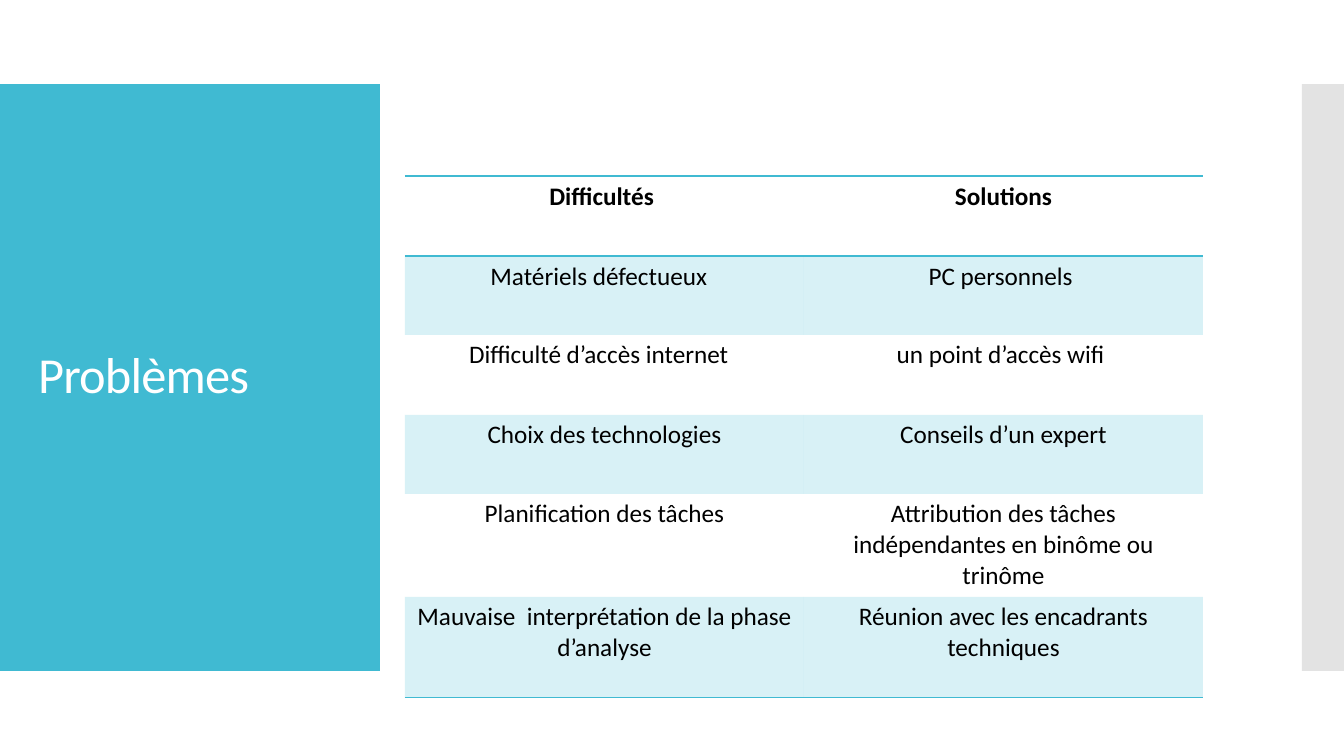
import lxml.etree
import pptx
import pptx.dml.color
import pptx.enum.shapes
import pptx.enum.text
import pptx.oxml.ns
import pptx.util

PX = 914400 / 100.8
COLORS = {"accent": "40BAD2", "grey": "C8C8C8", "white": "FFFFFF", "black": "000000"}
FONT = "Calibri"
ROWS = [
    ("Difficultés ", "Solutions"),
    ("Matériels défectueux  ", "PC personnels "),
    ("Difficulté d’accès internet  ", "un point d’accès wifi "),
    ("Choix des technologies", "Conseils d’un expert"),
    ("Planification des tâches", "Attribution des tâches indépendantes en binôme ou trinôme"),
    ("Mauvaise  interprétation de la phase d’analyse", "Réunion avec les encadrants techniques"),
]
ROW_HEIGHTS = [80, 79, 80, 79, 103, 101]
COLUMN_WIDTH = 399


def box(*lengths):
    return [round(length * PX) for length in lengths]


def paint(fill, color, percent=100):
    fill.solid()
    fill.fore_color.rgb = pptx.dml.color.RGBColor.from_string(COLORS[color])
    if percent < 100:
        color_element = fill._xPr.find(".//" + pptx.oxml.ns.qn("a:srgbClr"))
        alpha = lxml.etree.SubElement(color_element, pptx.oxml.ns.qn("a:alpha"))
        alpha.set("val", str(percent * 1000))


presentation = pptx.Presentation()
presentation.slide_width = pptx.util.Inches(13.333)
presentation.slide_height = pptx.util.Inches(7.5)
slide = presentation.slides.add_slide(presentation.slide_layouts[5])

for left, width, color, percent in [(0, 380, "accent", 100), (1302, 42, "grey", 50)]:
    panel = slide.shapes.add_shape(
        pptx.enum.shapes.MSO_SHAPE.RECTANGLE, *box(left, 84, width, 587)
    )
    panel.shadow.inherit = False
    panel.line.fill.background()
    paint(panel.fill, color, percent)

title = slide.shapes.title
slide.shapes._spTree.append(title._element)
title.left, title.top, title.width, title.height = box(28, 124, 325, 507)
title.text_frame.text = "Problèmes"
title.text_frame.word_wrap = True
title.text_frame.vertical_anchor = pptx.enum.text.MSO_ANCHOR.MIDDLE
paragraph = title.text_frame.paragraphs[0]
paragraph.alignment = pptx.enum.text.PP_ALIGN.LEFT
paragraph.line_spacing = 0.9
run = paragraph.runs[0]
run.font.name = FONT
run.font.size = pptx.util.Pt(36)
run.font.color.rgb = pptx.dml.color.RGBColor.from_string(COLORS["white"])
run.font._element.set("spc", "-60")

table = slide.shapes.add_table(
    len(ROWS), 2, *box(405, 176, 2 * COLUMN_WIDTH, sum(ROW_HEIGHTS))
).table
table.first_row = False
table.horz_banding = False
style = table._tbl.tblPr.find(pptx.oxml.ns.qn("a:tableStyleId"))
style.text = "{2D5ABB26-0587-4C30-8999-92F81FD0307C}"
for column in table.columns:
    column.width = round(COLUMN_WIDTH * PX)

for row_index, (texts, height) in enumerate(zip(ROWS, ROW_HEIGHTS)):
    table.rows[row_index].height = round(height * PX)
    edges = {0: ["lnB", "lnT"], len(ROWS) - 1: ["lnB"]}.get(row_index, [])
    for column_index, text in enumerate(texts):
        cell = table.cell(row_index, column_index)
        cell.text_frame.text = text
        paragraph = cell.text_frame.paragraphs[0]
        paragraph.alignment = pptx.enum.text.PP_ALIGN.CENTER
        font = paragraph.runs[0].font
        font.name = FONT
        font.size = pptx.util.Pt(18)
        font.bold = row_index == 0
        font.color.rgb = pptx.dml.color.RGBColor.from_string(COLORS["black"])
        if row_index % 2:
            paint(cell.fill, "accent", 20)
        else:
            cell.fill.background()
        for edge in edges:
            border = pptx.oxml.parse_xml(
                f'<a:{edge} {pptx.oxml.ns.nsdecls("a")} w="12700"><a:solidFill>'
                f'<a:srgbClr val="{COLORS["accent"]}"/></a:solidFill></a:{edge}>'
            )
            cell._tc.get_or_add_tcPr().insert(0, border)

presentation.save("out.pptx")
